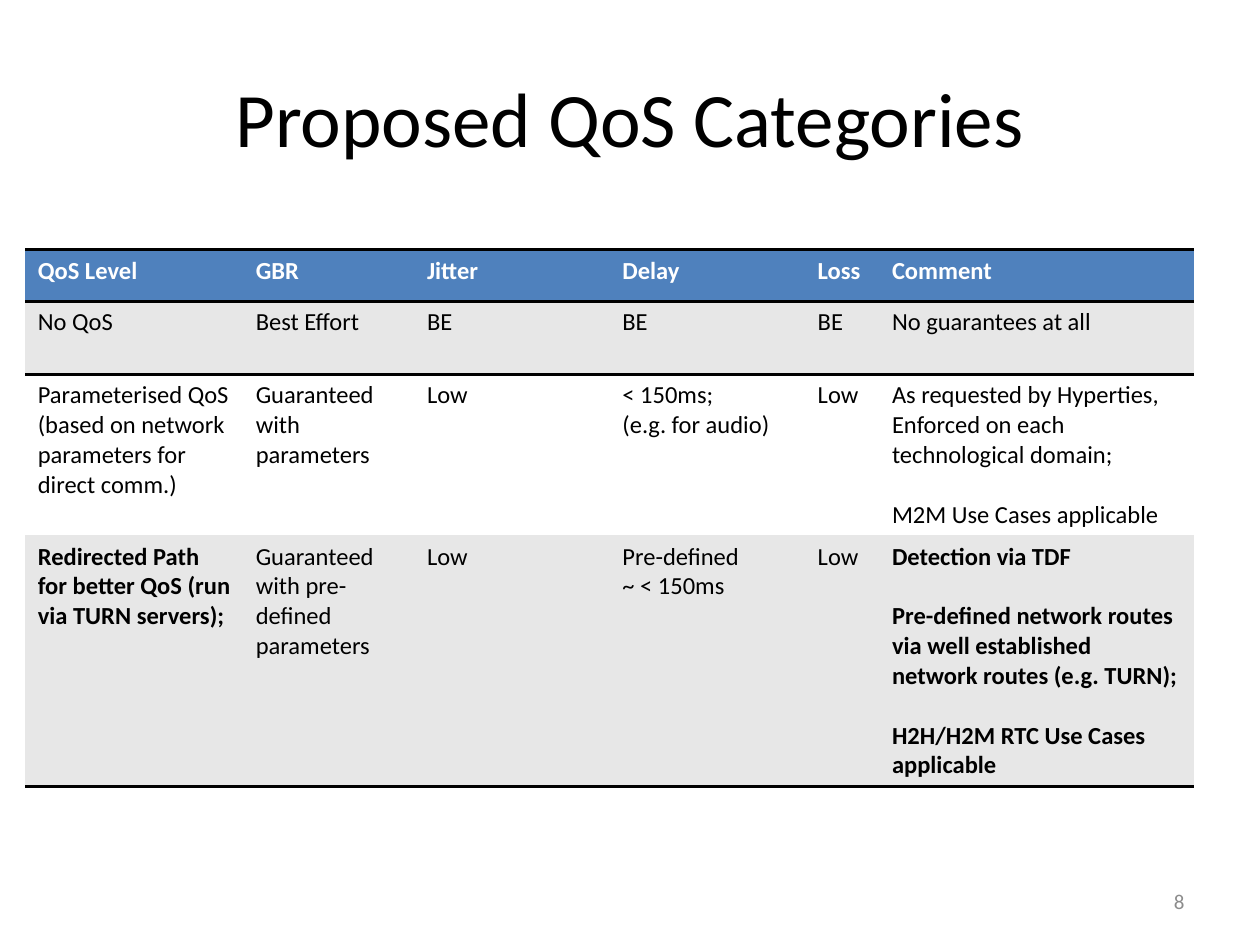
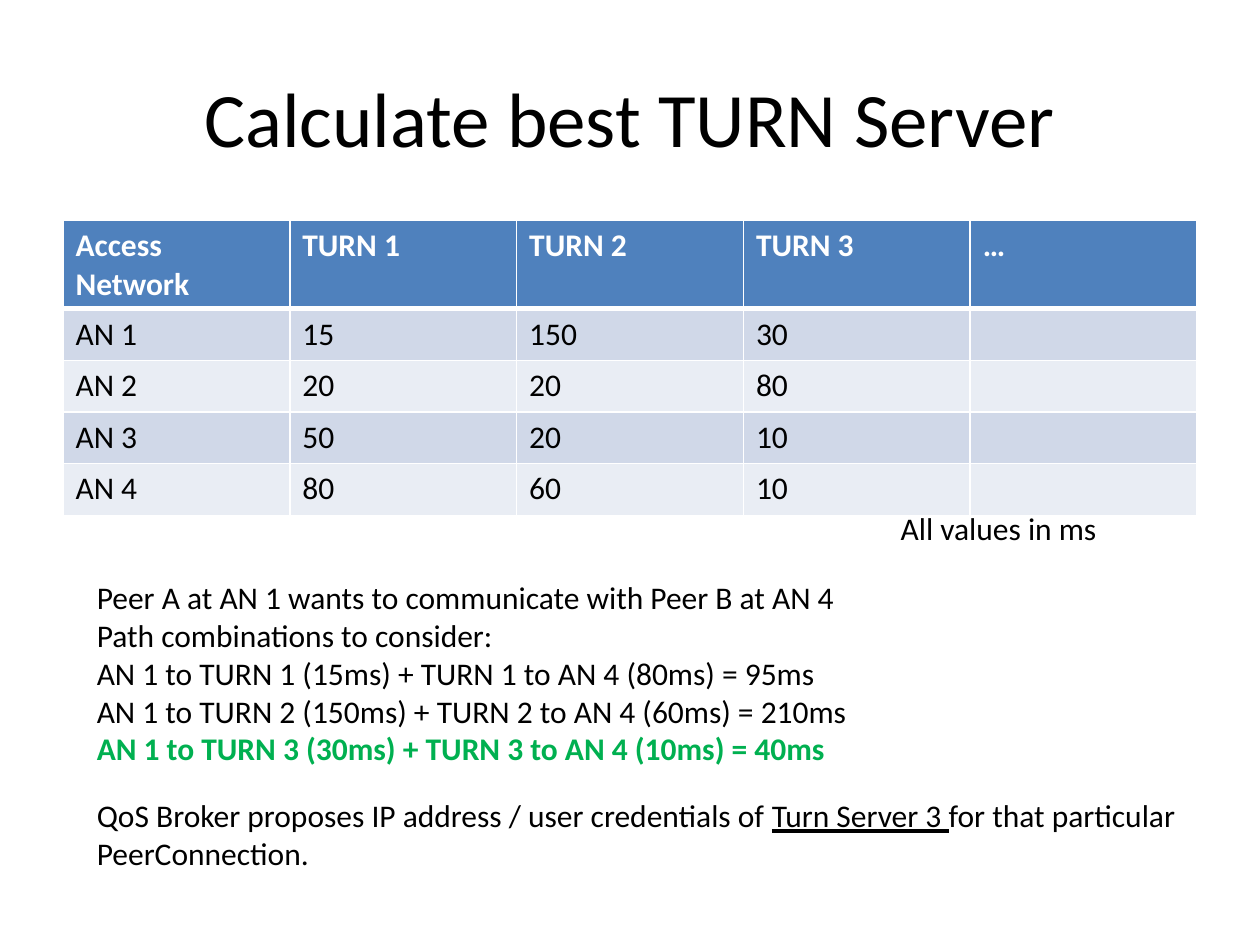
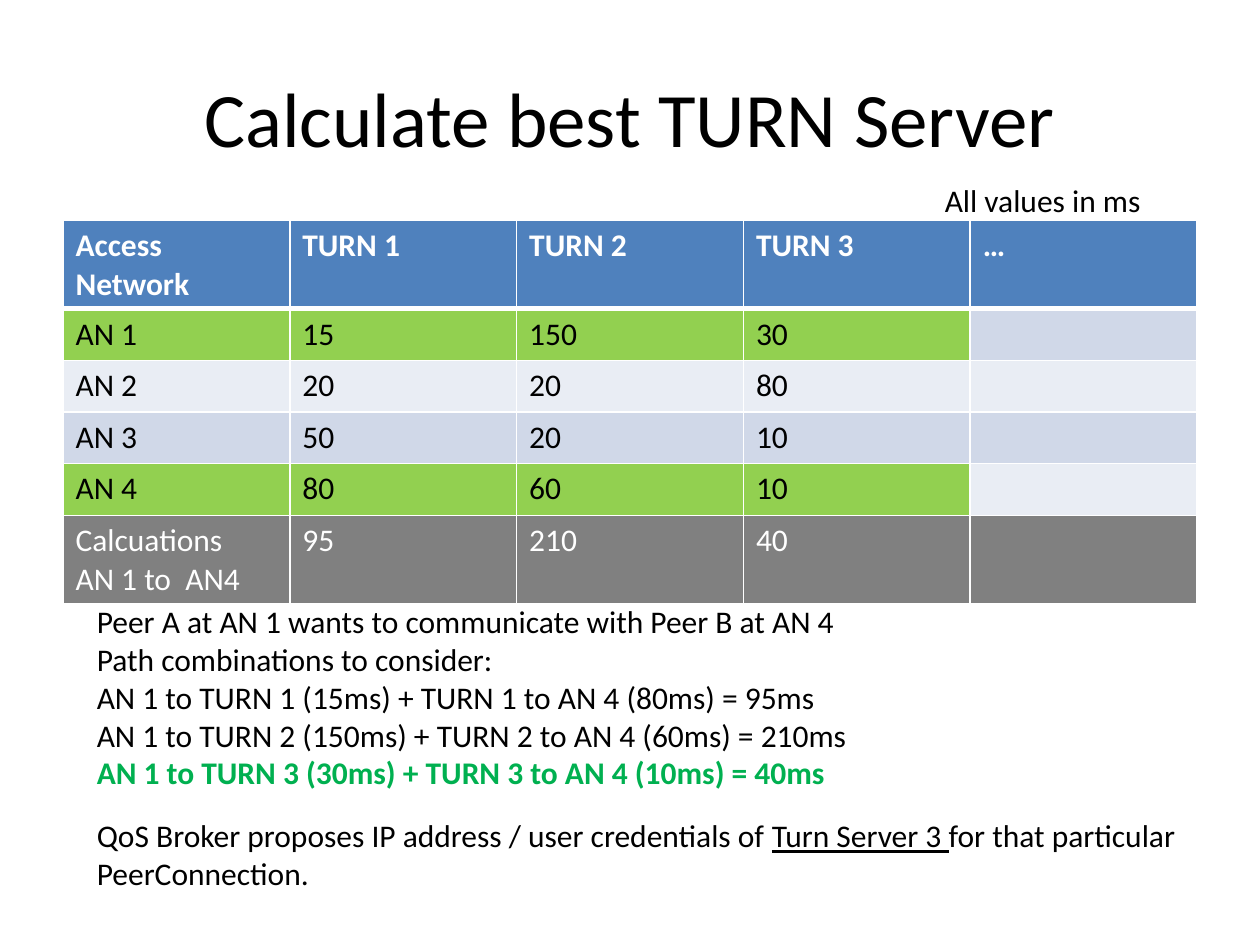
from lxml.etree import SubElement
from pptx import Presentation
from pptx.dml.color import RGBColor
from pptx.enum.text import MSO_ANCHOR, PP_ALIGN
from pptx.oxml.ns import qn
from pptx.util import Inches, Pt

# Shared look
FONT = "Calibri"
BLACK, WHITE, HEADER, BEST = "000000", "FFFFFF", "4F81BD", "00B050"
GREY_BANDS = ("E7E7E7", "FFFFFF")
BLUE_BANDS = ("D0D8E8", "E9EDF4")
PICKED, SUMMARY = "92D050", "808080"
PLAIN_STYLE = "{2D5ABB26-0587-4C30-8999-92F81FD0307C}"

# Content: a tuple in a cell holds paragraphs set apart by one line
QOS_ROWS = [
    ["QoS Level", "GBR", "Jitter", "Delay", "Loss", "Comment"],
    ["No QoS", "Best Effort", "BE", "BE", "BE", "No guarantees at all"],
    ["Parameterised QoS\n(based on network parameters for direct comm.)",
     "Guaranteed with parameters", "Low", "< 150ms;\n(e.g. for audio)", "Low",
     ("As requested by Hyperties, Enforced on each technological domain;",
      "M2M Use Cases applicable")],
    ["Redirected Path for better QoS (run via TURN servers);",
     "Guaranteed with pre-defined parameters", "Low",
     "Pre-defined\n~ < 150ms", "Low",
     ("Detection via TDF",
      "Pre-defined network routes via well established network routes (e.g. TURN);",
      "H2H/H2M RTC Use Cases applicable")],
]
QOS_COLS = [1.73, 1.36, 1.55, 1.55, 0.59, 2.5]
QOS_HEIGHTS = [0.41, 0.58, 1.28, 1.99]
QOS_BOLD = {(3, 0), (3, 5)}

DELAY_ROWS = [
    ["Access Network", "TURN 1", "TURN 2", "TURN 3", "…"],
    ["AN 1", "15", "150", "30", ""],
    ["AN 2", "20", "20", "80", ""],
    ["AN 3", "50", "20", "10", ""],
    ["AN 4", "80", "60", "10", ""],
]
SUM_ROW = ["Calcuations\nAN 1 to  AN4", "95", "210", "40", ""]
ONE_LINE, TWO_LINES = 0.41, 0.7

PATHS = [
    "Peer A at AN 1 wants to communicate with Peer B at AN 4",
    "Path combinations to consider:",
    "AN 1 to TURN 1 (15ms) + TURN 1 to AN 4 (80ms) = 95ms",
    "AN 1 to TURN 2 (150ms) + TURN 2 to AN 4 (60ms) = 210ms",
    "AN 1 to TURN 3 (30ms) + TURN 3 to AN 4 (10ms) = 40ms",
]
PROPOSAL = ["QoS Broker proposes IP address / user credentials of ",
            "Turn Server 3 ", "for that particular PeerConnection."]


def rgb(value):
    return RGBColor.from_string(value)


def style(p, size, color=BLACK, bold=False):
    for r in p.runs:
        r.font.name, r.font.size, r.font.bold = FONT, Pt(size), bold
        r.font.color.rgb = rgb(color)


def add_text(s, box, lines, size=18, color=BLACK, align=PP_ALIGN.LEFT,
             anchor=MSO_ANCHOR.TOP):
    tf = s.shapes.add_textbox(*map(Inches, box)).text_frame
    tf.word_wrap, tf.vertical_anchor = True, anchor
    tf.text = "\n".join(lines)
    for p in tf.paragraphs:
        p.alignment = align
        style(p, size, color)
    return tf


def add_slide(title):
    s = prs.slides.add_slide(prs.slide_layouts[6])
    add_text(s, (0.5, 0.3, 9, 1.25), [title], 44,
             align=PP_ALIGN.CENTER, anchor=MSO_ANCHOR.MIDDLE)
    return s


def set_border(cell, side, color, width):
    if not width:
        return
    ln = SubElement(cell._tc.get_or_add_tcPr(), qn(f"a:ln{side}"), w=str(Pt(width)))
    fill = SubElement(ln, qn("a:solidFill"))
    SubElement(fill, qn("a:srgbClr"), val=color)


def add_grid(s, left, top, rows, cols, heights, size, look, line, row_lines, col_line):
    """look(row, column) gives fill, text colour and bold; row_lines has one width per edge."""
    frame = s.shapes.add_table(len(rows), len(cols), Inches(left), Inches(top),
                               Inches(sum(cols)), Inches(sum(heights)))
    table = frame.table
    table._tbl.tblPr.find(qn("a:tableStyleId")).text = PLAIN_STYLE
    for column, width in zip(table.columns, cols):
        column.width = Inches(width)
    for i, (row, height) in enumerate(zip(rows, heights)):
        table.rows[i].height = Inches(height)
        for j, content in enumerate(row):
            cell = table.cell(i, j)
            widths = (col_line, col_line, row_lines[i], row_lines[i + 1])
            for side, width in zip("LRTB", widths):
                set_border(cell, side, line, width)
            fill, color, bold = look(i, j)
            cell.fill.solid()
            cell.fill.fore_color.rgb = rgb(fill)
            tf = cell.text_frame
            for k, text in enumerate((content,) if isinstance(content, str) else content):
                p = tf.add_paragraph() if k else tf.paragraphs[0]
                p.text = text
                p.space_before = Pt(size * 1.22 if k else 0)
                style(p, size, color, bold)


def qos_look(i, j):
    if i == 0:
        return HEADER, WHITE, True
    return GREY_BANDS[(i - 1) % 2], BLACK, (i, j) in QOS_BOLD


def delay_look(i, j, picked_rows):
    if i == 0:
        return HEADER, WHITE, True
    if i == len(DELAY_ROWS):
        return SUMMARY, WHITE, False
    picked = i in picked_rows and j < 4
    return PICKED if picked else BLUE_BANDS[(i - 1) % 2], BLACK, False


def add_delay_slide(rows, picked_rows, unit_at, paths_top, proposal_top):
    s = add_slide("Calculate best TURN Server")
    heights = [TWO_LINES if i in (0, len(DELAY_ROWS)) else ONE_LINE
               for i in range(len(rows))]
    add_grid(s, 0.5, 1.75, rows, [9 / 5] * 5, heights, 18,
             lambda i, j: delay_look(i, j, picked_rows),
             WHITE, [1, 3] + [1] * (len(rows) - 1), 1)
    # Path sums, best one last
    tf = add_text(s, (0.67, paths_top, 8.74, 1.62), PATHS)
    style(tf.paragraphs[-1], 18, BEST, True)
    add_text(s, (*unit_at, 2.6, 0.4), ["All values in ms"])
    # Proposal with the chosen server underlined
    p = add_text(s, (0.67, proposal_top, 8.82, 0.71), [""]).paragraphs[0]
    for text in PROPOSAL:
        r = p.add_run()
        r.text = text
        r.font.underline = text == PROPOSAL[1]
    style(p, 18)


prs = Presentation()
prs.slide_width, prs.slide_height = Inches(10), Inches(7.5)

# Slide 1: categories
s = add_slide("Proposed QoS Categories")
add_text(s, (7.17, 6.95, 2.33, 0.4), ["8"], 12, "8C8C8C",
         PP_ALIGN.RIGHT, MSO_ANCHOR.MIDDLE)
add_grid(s, 0.2, 1.98, QOS_ROWS, QOS_COLS, QOS_HEIGHTS, 14, qos_look,
         BLACK, [2, 2, 0, 0, 2], 0)

# Slides 2 and 3: delays, then delays with sums
add_delay_slide(DELAY_ROWS, (), (7.05, 3.99), 4.54, 6.27)
add_delay_slide(DELAY_ROWS + [SUM_ROW], (1, 4), (7.4, 1.39), 4.73, 6.43)

prs.save("out.pptx")
